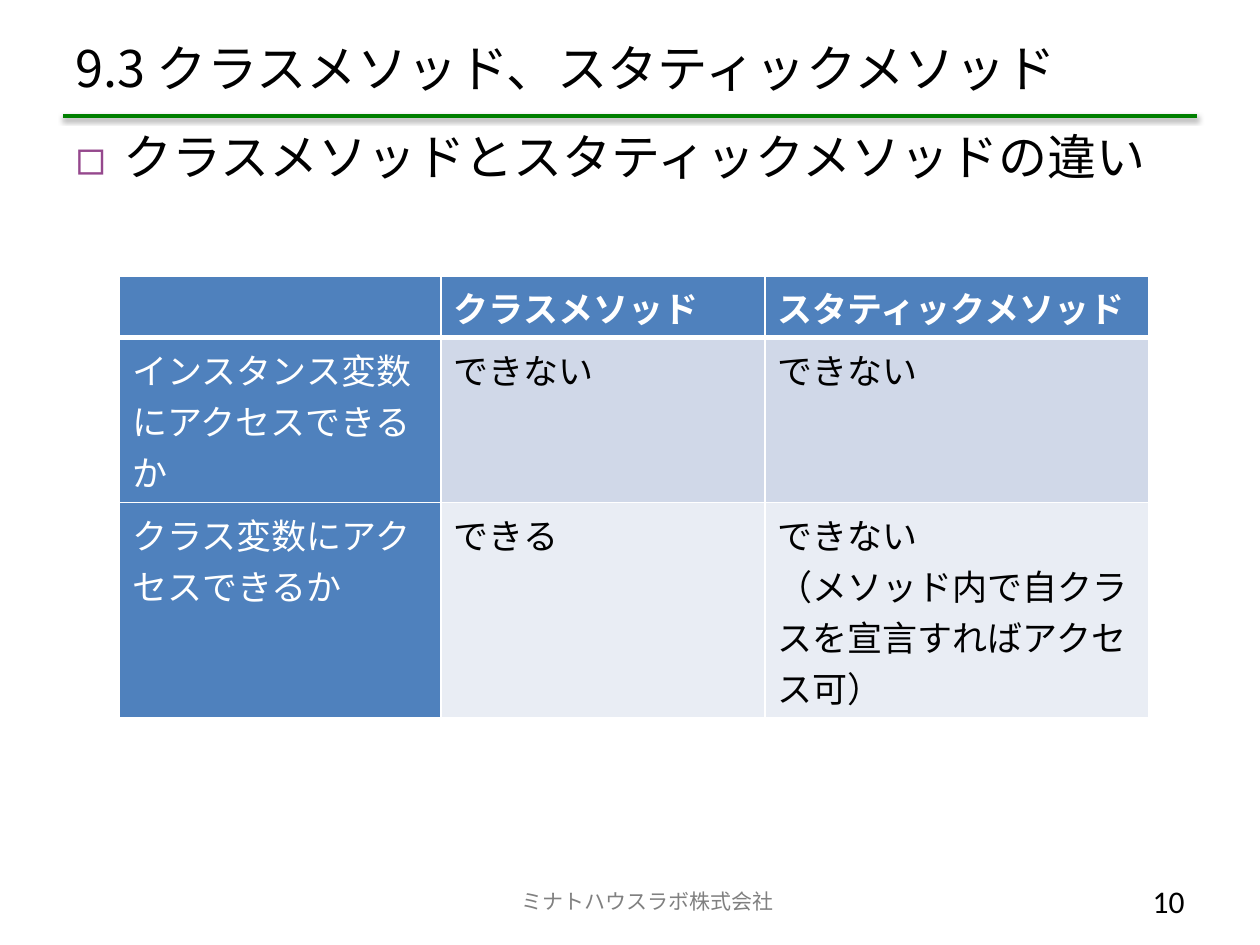
from dataclasses import dataclass

from lxml.etree import SubElement as Sub
from pptx import Presentation
from pptx.dml.color import RGBColor as Rgb
from pptx.enum.shapes import MSO_CONNECTOR as Conn
from pptx.enum.text import MSO_ANCHOR as Anchor, MSO_AUTO_SIZE as Fit, PP_ALIGN as Align
from pptx.oxml.ns import qn
from pptx.util import Inches, Pt


@dataclass(frozen=True)
class Theme:
    ink: str = "000000"
    white: str = "FFFFFF"
    gray: str = "808080"
    green: str = "008000"
    mark: str = "95488D"
    blue: str = "4F81BD"
    bands: tuple = ("D0D8E8", "E9EDF4")
    sans: str = "Calibri"
    asian: str = "Noto Sans CJK JP"
    title: float = 28.8
    body: float = 28
    cell: float = 20
    page: float = 18
    foot: float = 12


@dataclass(frozen=True)
class Box:
    left: float
    top: float
    width: float
    height: float

    def place(self, shape) -> None:
        shape.left, shape.top = Inches(self.left), Inches(self.top)
        shape.width, shape.height = Inches(self.width), Inches(self.height)


@dataclass(frozen=True)
class Note:
    text: str
    box: Box
    size: float
    color: str
    align: Align


THEME = Theme()
NOTES = (
    Note("10", Box(7.89, 6.95, 1.61, 0.4), THEME.page, THEME.ink, Align.RIGHT),
    Note("ミナトハウスラボ株式会社", Box(2.64, 6.95, 5, 0.4), THEME.foot, THEME.gray, Align.CENTER),
)
GRID = Box(0.95, 2.19, 8.17, 3.51)
COLS = (2.55, 2.57, 3.05)
ROWS = (0.49, 1.31, 1.71)
CELLS = (
    ("", "クラスメソッド", "スタティックメソッド"),
    ("インスタンス変数にアクセスできるか", "できない", "できない"),
    ("クラス変数にアクセスできるか", "できる",
     "できない\n（メソッド内で自クラスを宣言すればアクセス可）"),
)


def write(frame, text: str, *, size: float, color: str = THEME.ink, font: str = THEME.sans,
          bold: bool = False, align: Align = Align.LEFT, anchor: Anchor = Anchor.TOP) -> None:
    frame.word_wrap = True
    frame.vertical_anchor = anchor
    frame.text = text
    for para in frame.paragraphs:
        para.alignment = align
        for run in para.runs:
            face = run.font
            face.name, face.size, face.bold = font, Pt(size), bold
            face.color.rgb = Rgb.from_string(color)
            Sub(run._r.get_or_add_rPr(), qn("a:ea"), typeface=THEME.asian)


def bullet(para) -> None:
    para.space_before = Pt(THEME.body * 0.2)
    props = para._p.get_or_add_pPr()
    props.set("marL", str(Inches(0.38)))
    props.set("indent", str(-Inches(0.38)))
    tint = Sub(props, qn("a:buClr"))
    Sub(tint, qn("a:srgbClr"), val=THEME.mark)
    Sub(props, qn("a:buFont"), typeface=THEME.asian)
    Sub(props, qn("a:buChar"), char="◻")


def rule(slide) -> None:
    line = slide.shapes.add_connector(Conn.STRAIGHT, Inches(0.5), Inches(0.92),
                                      Inches(9.5), Inches(0.92))
    line.line.color.rgb = Rgb.from_string(THEME.green)
    line.line.width = Pt(2)
    effect = Sub(line._element.spPr, qn("a:effectLst"))
    shade = Sub(effect, qn("a:outerShdw"), blurRad=str(Pt(3.1)), dist=str(Pt(1.6)),
                dir="5400000", rotWithShape="0")
    tint = Sub(shade, qn("a:srgbClr"), val=THEME.ink)
    Sub(tint, qn("a:alpha"), val="38000")


def border(cell, row: int) -> None:
    props = cell._tc.get_or_add_tcPr()
    for side in "LRTB":
        thick = (row, side) in ((0, "B"), (1, "T"))
        edge = Sub(props, qn(f"a:ln{side}"), w=str(Pt(3 if thick else 1)))
        fill = Sub(edge, qn("a:solidFill"))
        Sub(fill, qn("a:srgbClr"), val=THEME.white)


def grid(slide) -> None:
    table = slide.shapes.add_table(len(ROWS), len(COLS), Inches(GRID.left), Inches(GRID.top),
                                   Inches(GRID.width), Inches(GRID.height)).table
    for col, width in zip(table.columns, COLS):
        col.width = Inches(width)
    for r, (height, texts) in enumerate(zip(ROWS, CELLS)):
        table.rows[r].height = Inches(height)
        for c, text in enumerate(texts):
            cell = table.cell(r, c)
            head = r == 0 or c == 0
            write(cell.text_frame, text, size=THEME.cell, bold=r == 0,
                  color=THEME.white if head else THEME.ink)
            border(cell, r)
            cell.fill.solid()
            cell.fill.fore_color.rgb = Rgb.from_string(THEME.blue if head else THEME.bands[r - 1])


def main() -> None:
    deck = Presentation()
    deck.slide_width, deck.slide_height = Inches(10), Inches(7.5)
    slide = deck.slides.add_slide(deck.slide_layouts[1])
    rule(slide)

    title, body = slide.placeholders
    Box(0.5, 0.2, 9, 0.67).place(title)
    Box(0.5, 0.95, 9, 5.38).place(body)
    write(title.text_frame, "9.3 クラスメソッド、スタティックメソッド", size=THEME.title,
          font=THEME.asian, anchor=Anchor.MIDDLE)
    write(body.text_frame, "クラスメソッドとスタティックメソッドの違い", size=THEME.body,
          font=THEME.asian)
    bullet(body.text_frame.paragraphs[0])
    for shape in (title, body):
        shape.text_frame.auto_size = Fit.NONE

    for note in NOTES:
        label = slide.shapes.add_textbox(0, 0, 0, 0)
        note.box.place(label)
        write(label.text_frame, note.text, size=note.size, color=note.color,
              align=note.align, anchor=Anchor.MIDDLE)
    grid(slide)
    deck.save("out.pptx")


if __name__ == "__main__":
    main()
